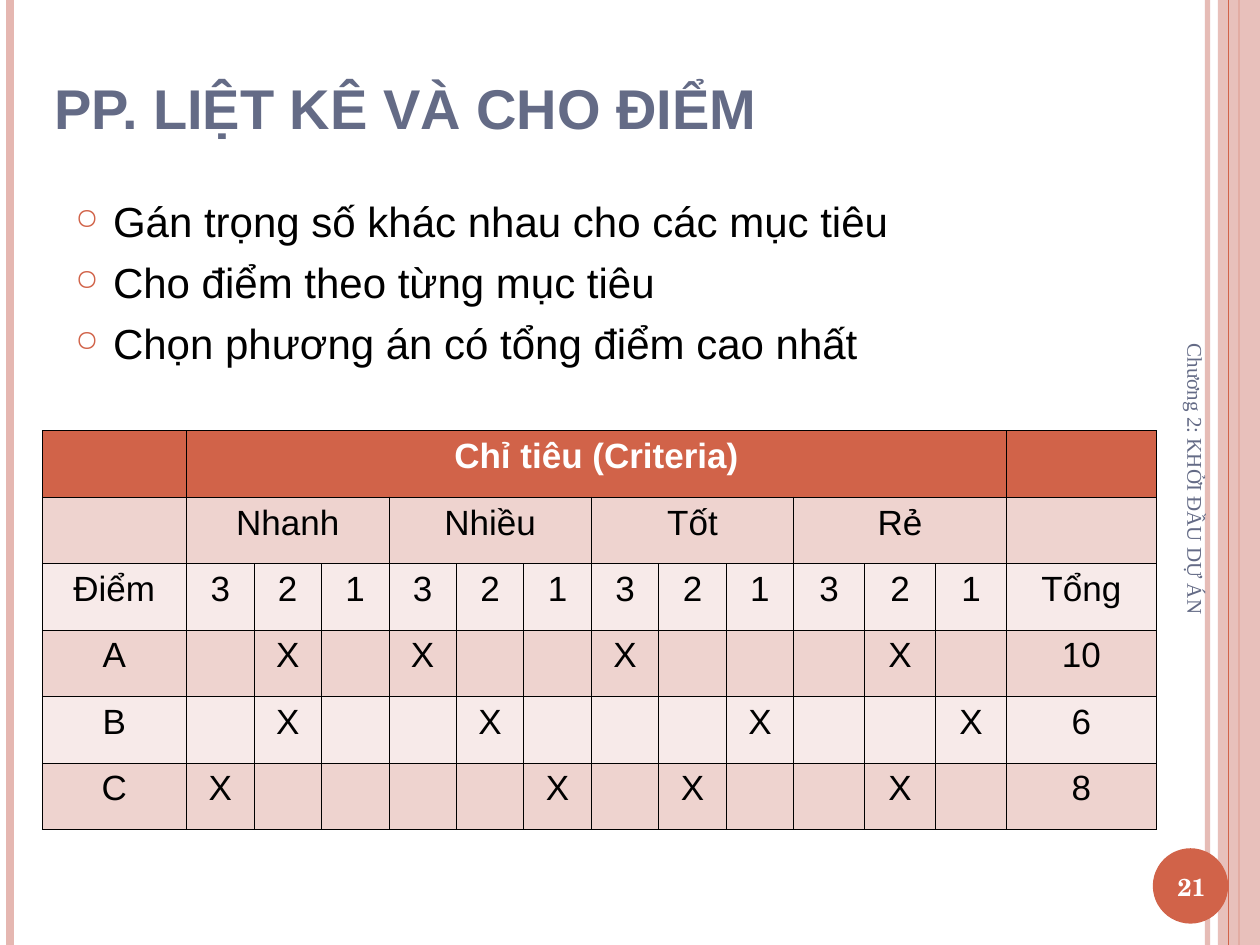
import pptx
import pptx.dml.color
import pptx.enum.shapes
import pptx.enum.text
import pptx.oxml
import pptx.oxml.ns
import pptx.util

Cm = pptx.util.Cm
Pt = pptx.util.Pt
RGBColor = pptx.dml.color.RGBColor
Align = pptx.enum.text.PP_ALIGN
Anchor = pptx.enum.text.MSO_ANCHOR
Shape = pptx.enum.shapes.MSO_SHAPE

ORANGE = RGBColor(0xD1, 0x63, 0x49)
PINK = RGBColor(0xE5, 0xB7, 0xB1)
ROSE = RGBColor(0xEE, 0xD3, 0xCF)
PALE = RGBColor(0xF7, 0xEA, 0xE9)
SLATE = RGBColor(0x64, 0x6B, 0x86)
BLACK = RGBColor(0, 0, 0)
WHITE = RGBColor(255, 255, 255)

SLIDE_WIDTH, SLIDE_HEIGHT = 25.4, 19.05


def xml(tag, content="", **attributes):
    listed = "".join(f' {name}="{value}"' for name, value in attributes.items())
    namespace = pptx.oxml.ns.nsdecls("a")
    return pptx.oxml.parse_xml(f"<a:{tag} {namespace}{listed}>{content}</a:{tag}>")


class SlideBuilder:
    font = "Arial"

    def __init__(self, slide):
        self.slide = slide
        self.shapes = slide.shapes

    def set_alpha(self, part, percent):
        color = part.find(".//" + pptx.oxml.ns.qn("a:srgbClr"))
        color.append(xml("alpha", val=percent * 1000))

    def stripe(self, x, color, width, alpha=100):
        stripe = self.shapes.add_connector(
            pptx.enum.shapes.MSO_CONNECTOR.STRAIGHT, Cm(x), 0, Cm(x), Cm(SLIDE_HEIGHT))
        stripe.line.color.rgb = color
        stripe.line.width = Pt(width)
        properties = stripe._element.spPr
        properties.append(xml("effectLst"))
        if alpha < 100:
            self.set_alpha(properties, alpha)

    def block(self, kind, box, color, alpha=100):
        block = self.shapes.add_shape(kind, *map(Cm, box))
        block.shadow.inherit = False
        block.fill.solid()
        block.fill.fore_color.rgb = color
        block.line.fill.background()
        if alpha < 100:
            self.set_alpha(block._element.spPr, alpha)

    def format_runs(self, paragraph, size, color, bold=False, font=None):
        for run in paragraph.runs:
            run.font.name = font or self.font
            run.font.size = Pt(size)
            run.font.bold = bold
            run.font.color.rgb = color

    def text(self, box, wording, size, color, bold=False, font=None,
             anchor=Anchor.TOP, align=Align.LEFT, rotation=0):
        holder = self.shapes.add_textbox(*map(Cm, box))
        holder.rotation = rotation
        frame = holder.text_frame
        frame.word_wrap = True
        frame.vertical_anchor = anchor
        frame.text = wording
        for paragraph in frame.paragraphs:
            paragraph.alignment = align
            self.format_runs(paragraph, size, color, bold, font)
        return frame

    def bullets(self, box, points, size):
        frame = self.text(box, "\n".join(points), size, BLACK)
        for paragraph in frame.paragraphs:
            paragraph.space_before = Pt(6)
            properties = paragraph._p.get_or_add_pPr()
            properties.set("marL", str(Cm(0.76)))
            properties.set("indent", str(-Cm(0.76)))
            properties.append(xml("buClr", f'<a:srgbClr val="{ORANGE}"/>'))
            properties.append(xml("buSzPct", val=70000))
            properties.append(xml("buChar", char="○"))

    def cell(self, cell, wording, fill, color, bold):
        cell.text = wording
        paragraph = cell.text_frame.paragraphs[0]
        paragraph.alignment = Align.CENTER
        self.format_runs(paragraph, 20, color, bold)
        cell.fill.solid()
        cell.fill.fore_color.rgb = fill
        properties = cell._tc.get_or_add_tcPr()
        border = f'<a:solidFill><a:srgbClr val="{BLACK}"/></a:solidFill>'
        for position, side in enumerate(("lnL", "lnR", "lnT", "lnB")):
            properties.insert(position, xml(side, border, w=Pt(0.45)))

    def table(self, left, top, widths, row_height, rows, merges):
        grid = self.shapes.add_table(
            len(rows), len(widths), Cm(left), Cm(top),
            Cm(sum(widths)), Cm(row_height * len(rows))).table
        grid.horz_banding = False
        for column, width in zip(grid.columns, widths):
            column.width = Cm(width)
        for number, wordings in enumerate(rows):
            grid.rows[number].height = Cm(row_height)
            is_header = number == 0
            fill = ORANGE if is_header else (PALE, ROSE)[number % 2]
            color = WHITE if is_header else BLACK
            for column, wording in enumerate(wordings):
                self.cell(grid.cell(number, column), wording, fill, color, is_header)
        for row, first, span in merges:
            grid.cell(row, first).merge(grid.cell(row, first + span - 1))


def score_row(option, scores):
    marks = ["X" if score == level else "" for score in scores for level in (3, 2, 1)]
    return [option, *marks, str(sum(scores))]


def main():
    deck = pptx.Presentation()
    deck.slide_width, deck.slide_height = Cm(SLIDE_WIDTH), Cm(SLIDE_HEIGHT)
    builder = SlideBuilder(deck.slides.add_slide(deck.slide_layouts[6]))

    builder.stripe(24.34, PINK, 3, alpha=93)
    builder.stripe(0.21, PINK, 4.5)
    builder.stripe(24.98, ORANGE, 1.5)
    builder.block(Shape.RECTANGLE, (24.55, 0, 0.85, SLIDE_HEIGHT), PINK, alpha=87)
    builder.stripe(24.77, ORANGE, 0.75)
    builder.block(Shape.OVAL, (23.24, 17.1, 1.52, 1.52), ORANGE)

    builder.text((0.85, 0.76, 22.01, 2.2), "PP. LIỆT KÊ VÀ CHO ĐIỂM", 32, SLATE,
                 bold=True, anchor=Anchor.BOTTOM)
    builder.bullets((1.27, 3.81, 21.59, 4.23), [
        "Gán trọng số khác nhau cho các mục tiêu",
        "Cho điểm theo từng mục tiêu",
        "Chọn phương án có tổng điểm cao nhất",
    ], 24)
    builder.text((23.18, 17.15, 1.69, 1.44), "21", 14, WHITE, bold=True,
                 font="TeX Gyre Schola", anchor=Anchor.MIDDLE, align=Align.CENTER)
    builder.text((19.66, 10.62, 8.89, 1.02), "Chương 2: KHỞI ĐẦU DỰ ÁN", 12, SLATE,
                 font="Times New Roman", anchor=Anchor.MIDDLE, rotation=90)

    criteria = ["Nhanh", "Nhiều", "Tốt", "Rẻ"]
    criteria_cells = [wording for name in criteria for wording in (name, "", "")]
    rows = [
        ["", "Chỉ tiêu (Criteria)"] + [""] * 12,
        ["", *criteria_cells, ""],
        ["Điểm", *["3", "2", "1"] * len(criteria), "Tổng"],
        score_row("A", (2, 3, 3, 2)),
        score_row("B", (2, 2, 1, 1)),
        score_row("C", (3, 1, 2, 2)),
    ]
    widths = [2.91] + [1.36] * 9 + [1.43] * 3 + [3.02]
    merges = [(0, 1, 12)] + [(1, first, 3) for first in range(1, 13, 3)]
    builder.table(0.85, 8.68, widths, 1.34, rows, merges)

    deck.save("out.pptx")


if __name__ == "__main__":
    main()
